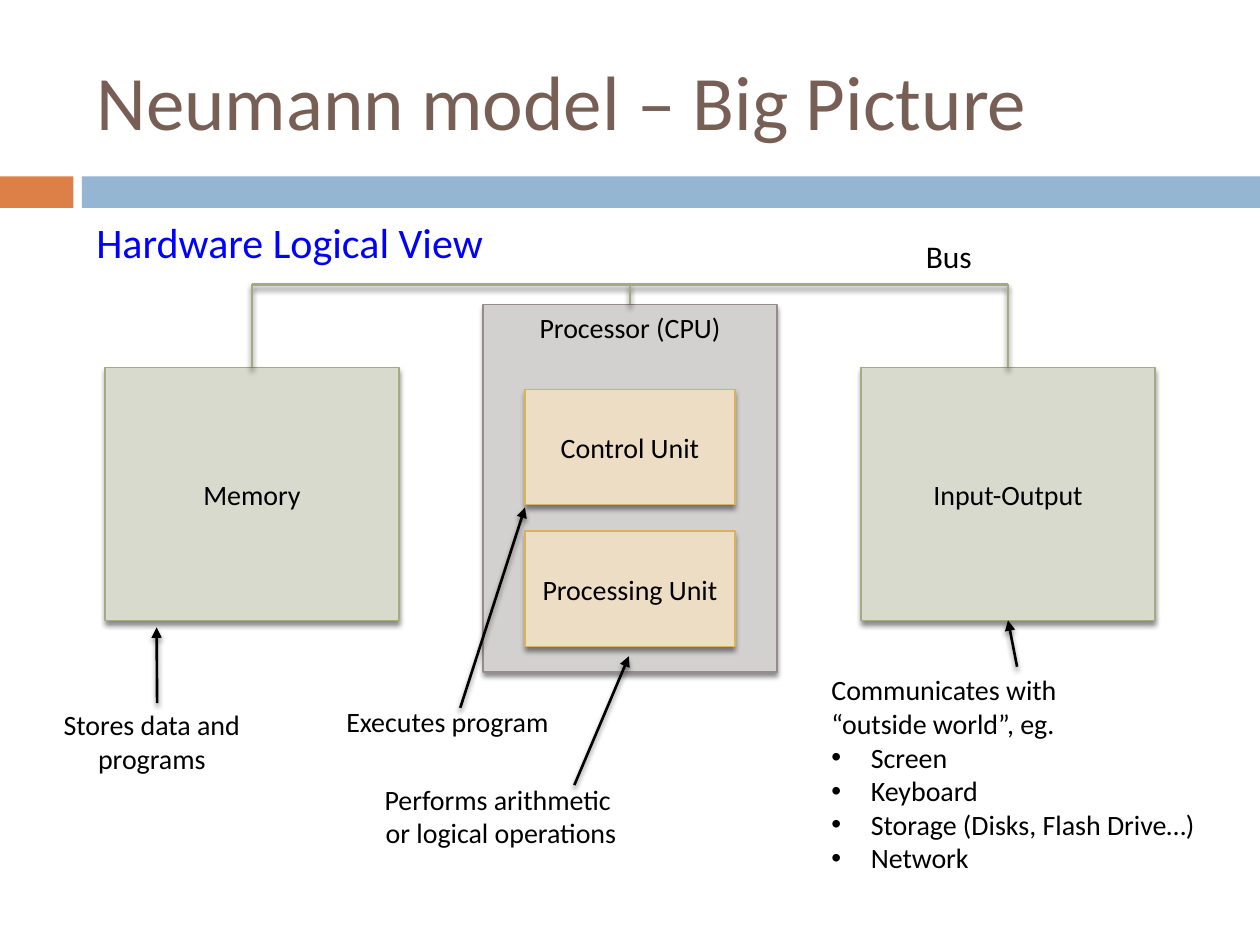
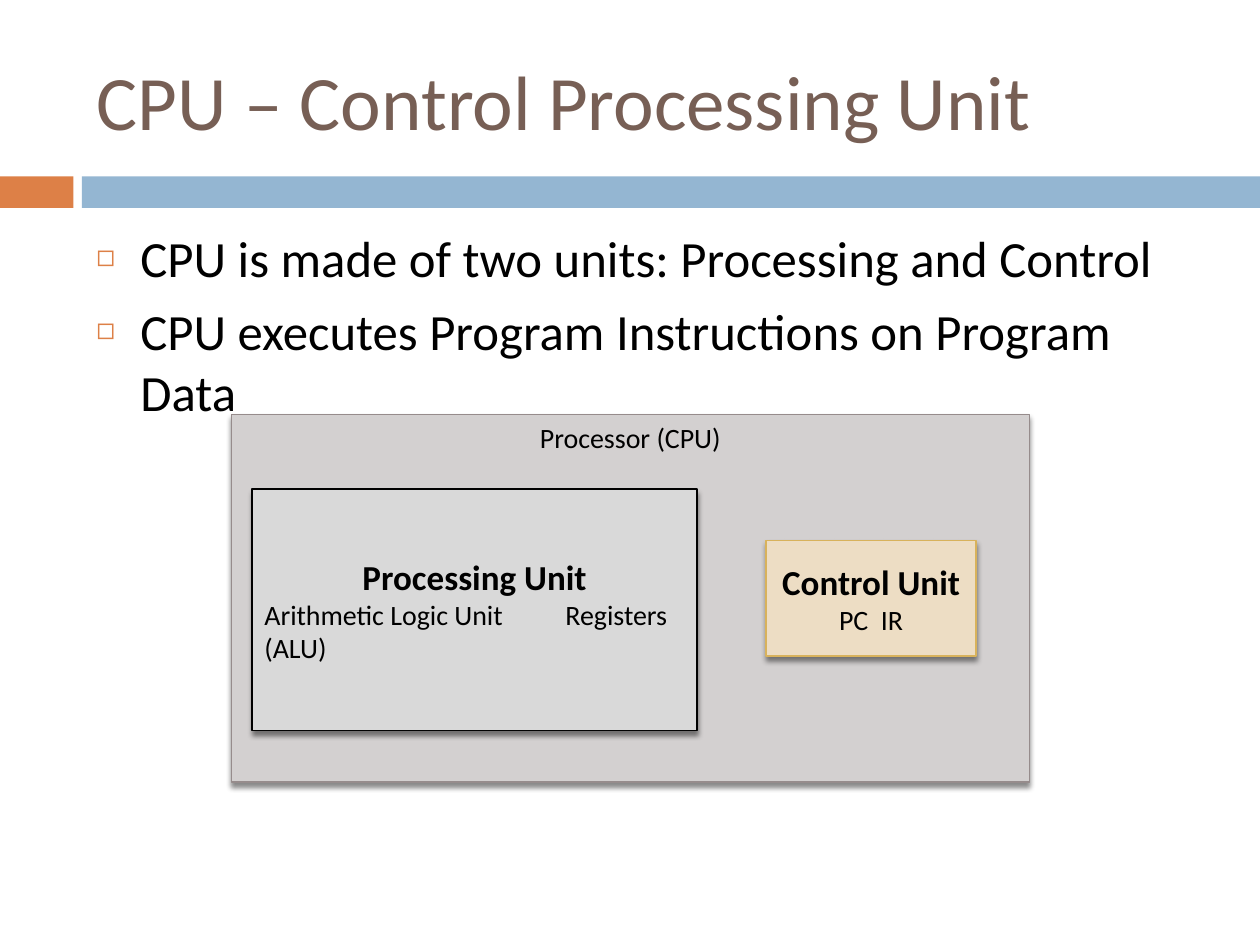
import pptx
import pptx.util
import pptx.dml.color
import pptx.enum.shapes
import pptx.enum.text
import pptx.oxml
import pptx.oxml.ns

Pt = pptx.util.Pt
RGB = pptx.dml.color.RGBColor
ALIGN = pptx.enum.text.PP_ALIGN
ANCHOR = pptx.enum.text.MSO_ANCHOR
RECTANGLE = pptx.enum.shapes.MSO_SHAPE.RECTANGLE
STRAIGHT = pptx.enum.shapes.MSO_CONNECTOR.STRAIGHT
NS = pptx.oxml.ns.nsdecls("a")

FONT = "Calibri"
COLORS = {
    "title": "775F55", "subtitle": "0000FF", "text": "000000",
    "orange": "DD8047", "blue": "94B6D2",
    "cpu": "D3D0D0", "cpu_line": "968C8C",
    "unit": "EDDDC4", "unit_line": "D8B25C",
    "device": "D8DACD", "device_line": "A5AB81",
    "processing": "D9D9D9", "processing_line": "000000",
}


def write(shape, text, size, color="text", align=ALIGN.LEFT, anchor=ANCHOR.TOP, wrap=True):
    frame = shape.text_frame
    frame.text = text
    frame.word_wrap = wrap
    frame.auto_size = pptx.enum.text.MSO_AUTO_SIZE.NONE
    frame.vertical_anchor = anchor
    for paragraph in frame.paragraphs:
        paragraph.alignment = align
        for run in paragraph.runs:
            run.font.name = FONT
            run.font.size = Pt(size)
            run.font.color.rgb = RGB.from_string(COLORS[color])
    return frame.paragraphs


def cast_shadow(shape):
    shape._element.spPr.append(pptx.oxml.parse_xml(
        f'<a:effectLst {NS}><a:outerShdw blurRad="{Pt(3)}" dist="{Pt(2.4)}" dir="5400000" '
        'rotWithShape="0"><a:srgbClr val="000000"><a:alpha val="45000"/></a:srgbClr>'
        '</a:outerShdw></a:effectLst>'))


deck = pptx.Presentation()
deck.slide_width, deck.slide_height = Pt(720), Pt(540)

# Shared title and bands
slides = []
for heading in ("Neumann model – Big Picture", "CPU – Control Processing Unit"):
    slide = deck.slides.add_slide(deck.slide_layouts[5])
    title = slide.shapes.title
    title.left, title.top, title.width, title.height = Pt(48), Pt(18), Pt(642), Pt(78)
    write(title, heading, 44, "title", anchor=ANCHOR.MIDDLE)
    for left, width, color in ((0, 42, "orange"), (46.8, 673.2, "blue")):
        band = slide.shapes.add_shape(RECTANGLE, Pt(left), Pt(100.8), Pt(width), Pt(18))
        band.shadow.inherit = False
        band.fill.solid()
        band.fill.fore_color.rgb = RGB.from_string(COLORS[color])
        band.line.fill.background()
    slides.append(slide)
model, cpu = slides

# Bullet points of the CPU slide
points = cpu.shapes.add_textbox(Pt(48), Pt(126), Pt(642), Pt(354))
cpu_points = write(points, "CPU is made of two units: Processing and Control\n"
                   "CPU executes Program Instructions on Program Data", 29)
for point in cpu_points:
    point.space_before = Pt(7)

# Hardware blocks: slide, place, colour, text, anchor
blocks = [
    (model, (276, 174, 168, 210), "cpu", "Processor (CPU)", ANCHOR.TOP),
    (model, (300, 222.5, 120, 66), "unit", "Control Unit", ANCHOR.MIDDLE),
    (model, (300, 303.5, 120, 66), "unit", "Processing Unit", ANCHOR.MIDDLE),
    (model, (60, 210, 168, 144.5), "device", "Memory", ANCHOR.MIDDLE),
    (model, (492, 210, 168, 144.5), "device", "Input-Output", ANCHOR.MIDDLE),
    (cpu, (132.2, 237, 456, 210), "cpu", "Processor (CPU)", ANCHOR.TOP),
    (cpu, (437.8, 309, 120, 66), "unit", "Control Unit\nPC  IR", ANCHOR.MIDDLE),
    (cpu, (144, 279.4, 254.4, 138), "processing",
     "Processing Unit\nArithmetic Logic Unit\tRegisters\n(ALU)", ANCHOR.MIDDLE),
]
for slide, place, color, text, anchor in blocks:
    block = slide.shapes.add_shape(RECTANGLE, *map(Pt, place))
    block.fill.solid()
    block.fill.fore_color.rgb = RGB.from_string(COLORS[color])
    block.line.color.rgb = RGB.from_string(COLORS[color + "_line"])
    block.line.width = Pt(0.79)
    cast_shadow(block)
    name, *parts = write(block, text, 16, align=ALIGN.CENTER, anchor=anchor)
    if parts:
        name.runs[0].font.size = Pt(20)
        name.runs[0].font.bold = True
    if color == "processing":
        for part in parts:
            part.alignment = ALIGN.LEFT
        parts[0]._p.get_or_add_pPr().append(pptx.oxml.parse_xml(
            f'<a:tabLst {NS}><a:tab pos="{Pt(172)}" algn="l"/></a:tabLst>'))

# Bus lines and arrows from the notes: start, end, colour, arrowhead
bus_y = 162.5
links = [((144, bus_y), (576, bus_y), "device_line", False)]
links += [((x, bus_y), (x, y), "device_line", False) for x, y in ((144, 210), (576, 210), (360, 174))]
links += [(start, end, "text", True) for start, end in (
    ((263, 404.5), (300, 290)), ((328.2, 448.6), (359.4, 375)),
    ((581.2, 381), (576, 354.5)), ((89.8, 401.8), (89.5, 358.5)))]
for start, end, color, arrow in links:
    link = model.shapes.add_connector(STRAIGHT, *map(Pt, start + end))
    link.line.color.rgb = RGB.from_string(COLORS[color])
    link.line.width = Pt(1.5)
    if arrow:
        link.line._get_or_add_ln().append(pptx.oxml.parse_xml(f'<a:tailEnd {NS} type="triangle"/>'))
    cast_shadow(link)

# Subtitle and notes around the blocks
notes = [
    ((48, 120, 241, 36), "Hardware Logical View", 24, "subtitle", ALIGN.LEFT),
    ((522, 132, 44.8, 29), "Bus", 18, "text", ALIGN.LEFT),
    ((190.8, 399, 145, 29), "Executes program", 16, "text", ALIGN.LEFT),
    ((206, 443.5, 160.6, 46), "Performs arithmetic \nor logical operations", 16, "text", ALIGN.CENTER),
    ((24.5, 401, 124.6, 46), "Stores data and\nprograms", 16, "text", ALIGN.CENTER),
    ((468, 381, 226.8, 143), "Communicates with\n“outside world”, eg.\nScreen\nKeyboard\n"
     "Storage (Disks, Flash Drive…)\nNetwork", 16, "text", ALIGN.LEFT),
]
for place, text, size, color, align in notes:
    note = model.shapes.add_textbox(*map(Pt, place))
    note_lines = write(note, text, size, color, align, wrap=False)
devices = note_lines[2:]

# Bullets for both lists
for items, glyph, indent, color, percent in (
        (cpu_points, "◻", 25.2, "orange", 60), (devices, "•", 22.5, "text", 100)):
    for item in items:
        properties = item._p.get_or_add_pPr()
        properties.set("marL", str(Pt(indent)))
        properties.set("indent", str(-Pt(indent)))
        for tag in (f'<a:buClr {NS}><a:srgbClr val="{COLORS[color]}"/></a:buClr>',
                    f'<a:buSzPct {NS} val="{percent * 1000}"/>',
                    f'<a:buFont {NS} typeface="Arial"/>',
                    f'<a:buChar {NS} char="{glyph}"/>'):
            properties.append(pptx.oxml.parse_xml(tag))

deck.save("out.pptx")
